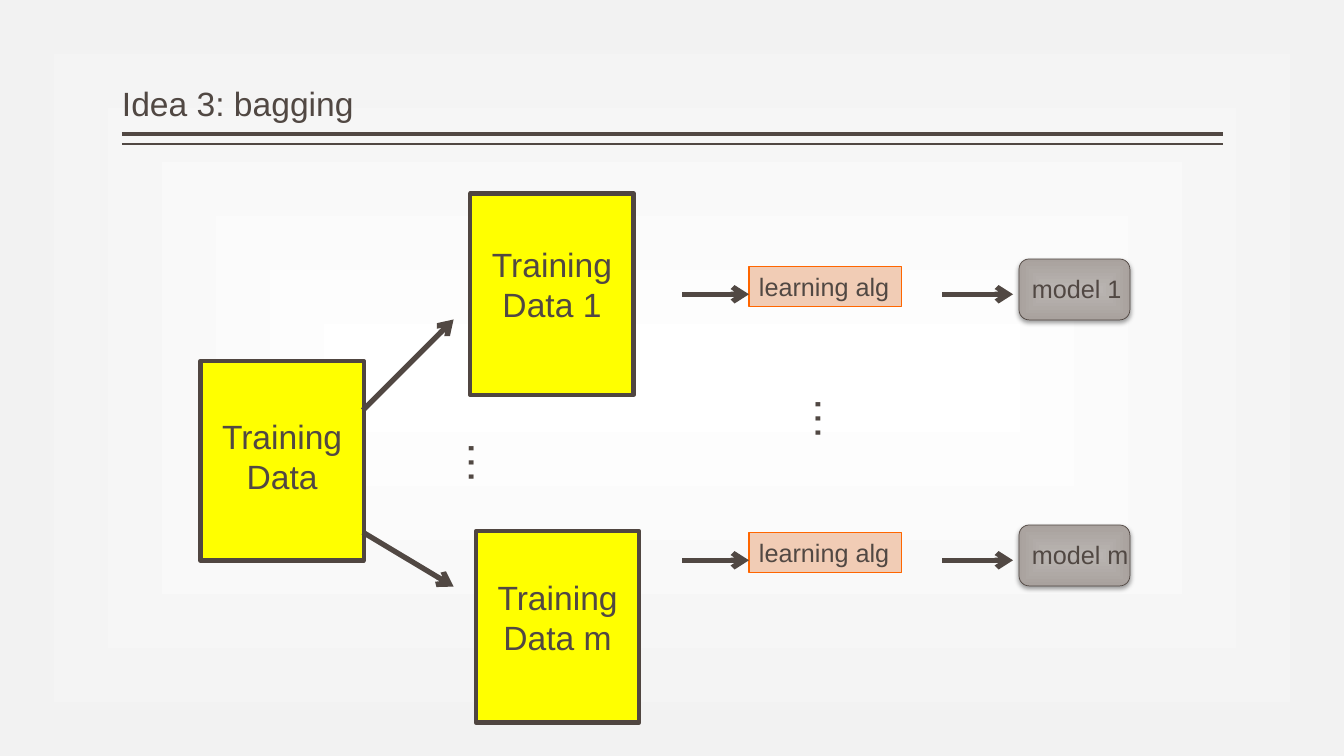
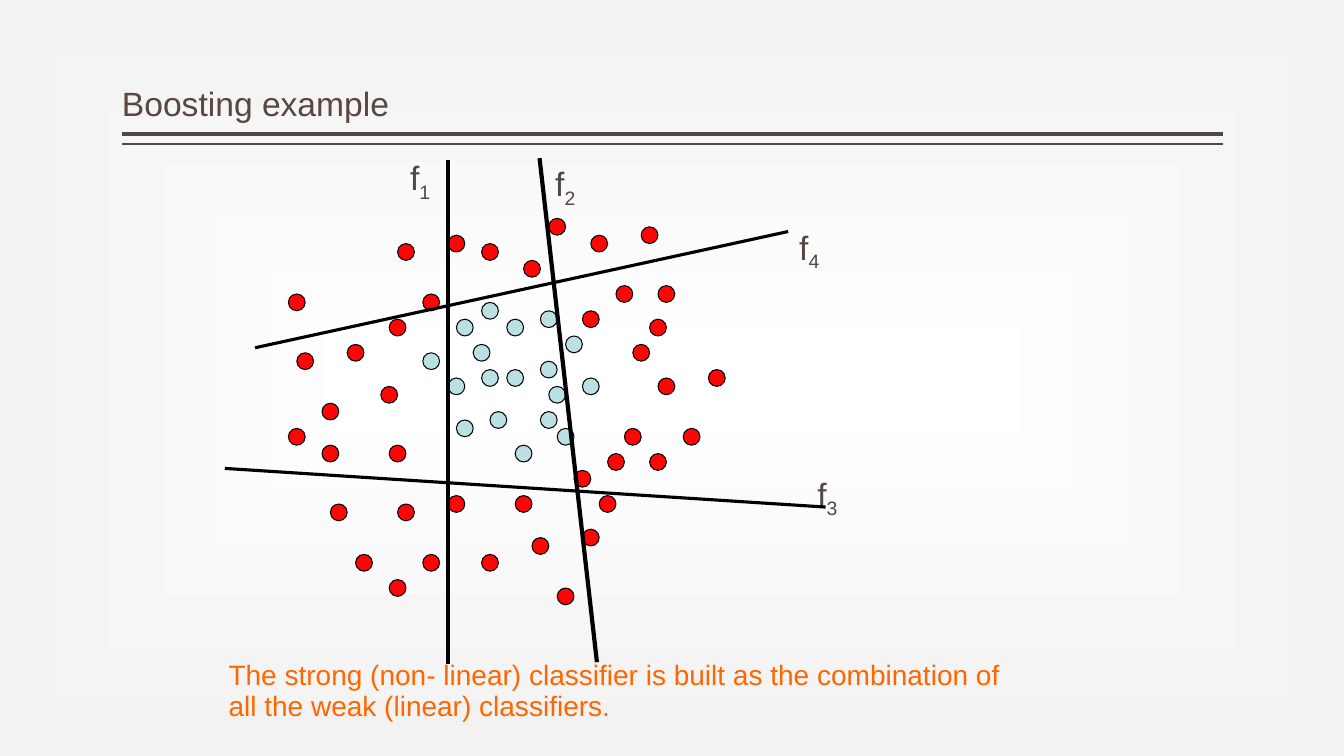
from dataclasses import dataclass
from typing import Any

import lxml.etree
import pptx
import pptx.dml.color
import pptx.dml.fill
import pptx.enum.shapes
import pptx.enum.text
import pptx.oxml.ns
import pptx.shapes.autoshape
import pptx.shapes.connector
import pptx.slide
import pptx.text.text
import pptx.util

Pt = pptx.util.Pt
qn = pptx.oxml.ns.qn
SHAPE = pptx.enum.shapes.MSO_SHAPE
ANCHOR = pptx.enum.text.MSO_ANCHOR
ALIGN = pptx.enum.text.PP_ALIGN
FIT = pptx.enum.text.MSO_AUTO_SIZE

Point = tuple[float, float]
Box = tuple[float, float, float, float]  # left, top, width, height

# Shared colours
INK = "514843"
OUTLINE = "504641"
TITLE_BROWN = "594740"
ORANGE = "FF6600"
PEACH = "F1CCB5"
YELLOW = "FFFF00"
BLACK = "000000"
RED = "FE0606"
PALE_BLUE = "BBE0E3"
PAGE_STOPS = ("FFFFFF", "F2F2F2")
MODEL_STOPS = ("B9B4B1", "A9A29E")

# Shared text formats
LABEL_FRAME = {"word_wrap": False, "auto_size": FIT.SHAPE_TO_FIT_TEXT}
TITLE_FRAME = {"word_wrap": True, "auto_size": FIT.NONE, "vertical_anchor": ANCHOR.BOTTOM,
               "margin_left": 0, "margin_right": 0}
ARROW_WIDTH = 3.78


@dataclass(frozen=True)
class Card:
    text: str
    box: Box
    text_top: float


@dataclass(frozen=True)
class Pipeline:
    model: str
    top: float


@dataclass(frozen=True)
class Classifier:
    index: int
    start: Point
    end: Point
    width: float
    label: Point


# Slide 1: bagging
CARDS = (
    Card("Training\nData", (143.2, 257.8, 116.6, 142.6), 39),
    Card("Training\nData 1", (336, 138.2, 116.6, 144), 36),
    Card("Training\nData m", (340, 379.4, 116.6, 136.8), 32.4),
)
SPLIT_ARROWS = (((259.2, 293), (324, 228.2)), ((259.2, 380.2), (324, 419)))
PIPELINES = (Pipeline("model 1", 185), Pipeline("model m", 375))
PIPELINE_ARROWS = ((487.4, 535), (673.2, 723.6))
ELLIPSES = ((571.7, 276.5), (324, 308.2))

# Slide 2: dots as (column, row) on a 6-point grid
GRID, GRID_LEFT, DOT = 6, 2, 12
DOTS = {
    PALE_BLUE: (
        (60, 38), (64, 37), (67, 40), (57, 44), (64, 49), (69, 45), (54, 50), (60, 44), (64, 43),
        (65, 46), (58, 49), (53, 45), (54, 38), (61, 53), (56, 41), (66, 51), (50, 42), (57, 36),
    ),
    RED: (
        (78, 45), (77, 38), (74, 51), (77, 54), (84, 44), (81, 51), (35, 42), (34, 35), (34, 51),
        (41, 41), (38, 48), (47, 60), (46, 53), (46, 69), (53, 59), (50, 66), (63, 64), (61, 59),
        (57, 66), (69, 63), (66, 70), (47, 29), (57, 29), (46, 38), (53, 28), (50, 35), (70, 28),
        (62, 31), (69, 37), (76, 27), (73, 34), (39, 60), (38, 53), (45, 46), (42, 66), (65, 26),
        (78, 34), (75, 41), (68, 56), (71, 59), (72, 54),
    ),
}
CLASSIFIERS = (
    Classifier(1, (319.9, 114), (319.9, 474), 3, (285.8, 108.7)),
    Classifier(2, (385.4, 113), (426.4, 473), 3, (389.5, 113)),
    Classifier(3, (182.2, 248.4), (563, 165.4), 2.25, (576.7, 334.8)),
    Classifier(4, (160.6, 334.6), (589.7, 362.2), 2.25, (563.8, 158.4)),
)


def rgb(color: str) -> pptx.dml.color.RGBColor:
    return pptx.dml.color.RGBColor.from_string(color)


def apply(obj: Any, fmt: dict[str, Any]) -> None:
    for name, value in fmt.items():
        setattr(obj, name, value)


def paint(fill: pptx.dml.fill.FillFormat, color: str) -> None:
    fill.solid()
    fill.fore_color.rgb = rgb(color)


def path_gradient(fill: pptx.dml.fill.FillFormat, owner: Any,
                  colors: tuple[str, str], inset: int) -> None:
    """Rectangular gradient from the centre outwards; inset in percent."""
    fill.gradient()
    for stop, color in zip(fill.gradient_stops, colors):
        stop.color.rgb = rgb(color)
    grad = next(owner.element.iter(qn("a:gradFill")))
    grad.remove(grad.find(qn("a:lin")))
    rect = lxml.etree.SubElement(grad, qn("a:path"), {"path": "rect"})
    lxml.etree.SubElement(rect, qn("a:fillToRect"), {side: str(inset * 1000) for side in "ltrb"})


def write(tf: pptx.text.text.TextFrame, text: str, size: float, frame: dict[str, Any],
          color: str = INK, para: dict[str, Any] | None = None) -> None:
    apply(tf, frame)
    for i, line in enumerate(text.split("\n")):
        p = tf.paragraphs[0] if i == 0 else tf.add_paragraph()
        apply(p, {"alignment": ALIGN.LEFT, **(para or {})})
        add_run(p, line, size, color)


def add_run(p: Any, text: str, size: float, color: str = INK) -> Any:
    r = p.add_run()
    r.text = text
    apply(r.font, {"name": "Arial", "size": Pt(size)})
    r.font.color.rgb = rgb(color)
    return r


def add_box(s: pptx.slide.Slide, kind: Any, box: Box, line: str, width: float,
            fill: str | None = None) -> pptx.shapes.autoshape.Shape:
    sp = s.shapes.add_shape(kind, *map(Pt, box))
    sp.shadow.inherit = False
    if fill:
        paint(sp.fill, fill)
    paint(sp.line.fill, line)
    sp.line.width = Pt(width)
    return sp


def add_text(s: pptx.slide.Slide, box: Box, text: str, size: float, frame: dict[str, Any],
             color: str = INK, para: dict[str, Any] | None = None) -> pptx.shapes.autoshape.Shape:
    sp = s.shapes.add_textbox(*map(Pt, box))
    write(sp.text_frame, text, size, frame, color, para)
    return sp


def add_line(s: pptx.slide.Slide, start: Point, end: Point, color: str, width: float,
             arrow: bool = False) -> pptx.shapes.connector.Connector:
    line = s.shapes.add_connector(pptx.enum.shapes.MSO_CONNECTOR.STRAIGHT,
                                  *map(Pt, (*start, *end)))
    paint(line.line.fill, color)
    line.line.width = Pt(width)
    if arrow:
        ln = line.element.spPr.find(qn("a:ln"))
        lxml.etree.SubElement(ln, qn("a:tailEnd"), {"type": "arrow"})
    lxml.etree.SubElement(line.element.spPr, qn("a:effectLst"))
    return line


def add_title(s: pptx.slide.Slide, text: str, color: str, spacing: float) -> None:
    sp = s.shapes.title
    apply(sp, dict(zip(("left", "top", "width", "height"), map(Pt, (87.1, 5.8, 786.2, 86.4)))))
    write(sp.text_frame, text, 24, TITLE_FRAME, color, {"line_spacing": spacing})


def add_title_rules(s: pptx.slide.Slide) -> None:
    """Draw the double rule and move it to the layout, so every slide shares it."""
    for i, (y, width) in enumerate(((95.8, 3), (102.8, 1))):
        rule = add_line(s, (87.1, y), (873.4, y), INK, width).element
        rule.nvCxnSpPr.cNvPr.set("id", str(100 + i))
        s.slide_layout.shapes.element.append(rule)


def add_pipeline(s: pptx.slide.Slide, row: Pipeline) -> None:
    """Arrow, learning algorithm, arrow, model."""
    sp = add_box(s, SHAPE.ROUNDED_RECTANGLE, (727.9, row.top, 79.2, 43.5), OUTLINE, 0.5)
    path_gradient(sp.fill, sp, MODEL_STOPS, 50)
    shadow = lxml.etree.SubElement(
        sp.element.spPr.find(qn("a:effectLst")), qn("a:outerShdw"),
        {"blurRad": str(Pt(3.5)), "dist": str(Pt(2)), "dir": "5400000", "rotWithShape": "0"})
    black = lxml.etree.SubElement(shadow, qn("a:srgbClr"), {"val": BLACK})
    lxml.etree.SubElement(black, qn("a:alpha"), {"val": "38000"})
    write(sp.text_frame, row.model, 18,
          {"word_wrap": False, "vertical_anchor": ANCHOR.TOP, "margin_top": Pt(8),
           "margin_right": 0})

    sp = add_box(s, SHAPE.RECTANGLE, (535, row.top + 5.1, 108.7, 29.1), ORANGE, 0.75, PEACH)
    write(sp.text_frame, "learning alg", 18, LABEL_FRAME)
    for left, right in PIPELINE_ARROWS:
        y = row.top + 25.2
        add_line(s, (left, y), (right, y), INK, ARROW_WIDTH, arrow=True)


def draw_bagging(s: pptx.slide.Slide) -> None:
    add_title(s, "Idea 3: bagging", INK, 0.9)
    for card in CARDS:
        sp = add_box(s, SHAPE.RECTANGLE, card.box, OUTLINE, 3, YELLOW)
        write(sp.text_frame, card.text, 24,
              {"word_wrap": True, "vertical_anchor": ANCHOR.TOP, "margin_top": Pt(card.text_top)},
              para={"alignment": ALIGN.CENTER})
    for start, end in SPLIT_ARROWS:
        add_line(s, start, end, INK, ARROW_WIDTH, arrow=True)
    for row in PIPELINES:
        add_pipeline(s, row)
    for left, top in ELLIPSES:
        add_text(s, (left, top, 46.8, 46.1), "…", 32, LABEL_FRAME).rotation = 90


def draw_boosting(s: pptx.slide.Slide) -> None:
    add_title(s, "Boosting example", TITLE_BROWN, 0.93)
    # Data points of both classes
    for color, cells in DOTS.items():
        for col, row in cells:
            box = (GRID_LEFT + GRID * col, GRID * row, DOT, DOT)
            add_box(s, SHAPE.OVAL, box, BLACK, 0.75, color)
    # Weak classifiers
    for c in CLASSIFIERS:
        add_line(s, c.start, c.end, BLACK, c.width)
        sp = add_text(s, (*c.label, 30.2, 34.6), "f", 24, LABEL_FRAME,
                      para={"line_spacing": 0.93})
        r = add_run(sp.text_frame.paragraphs[0], str(c.index), 24)
        r.font._element.set("baseline", "-25000")
    # Conclusion
    add_text(s, (156.2, 468, 568.8, 52.6),
             "The strong (non- linear) classifier is built as the combination of "
             "all the weak (linear) classifiers.",
             20, {**LABEL_FRAME, "word_wrap": True}, ORANGE, {"line_spacing": 0.93})


def main() -> None:
    prs = pptx.Presentation()
    prs.slide_width, prs.slide_height = Pt(960), Pt(540)
    master = prs.slide_master
    path_gradient(master.background.fill, master, PAGE_STOPS, 5)
    layout = prs.slide_layouts.get_by_name("Title Only")
    slides = [prs.slides.add_slide(layout) for _ in range(2)]
    add_title_rules(slides[0])
    draw_bagging(slides[0])
    draw_boosting(slides[1])
    prs.save("out.pptx")


if __name__ == "__main__":
    main()
